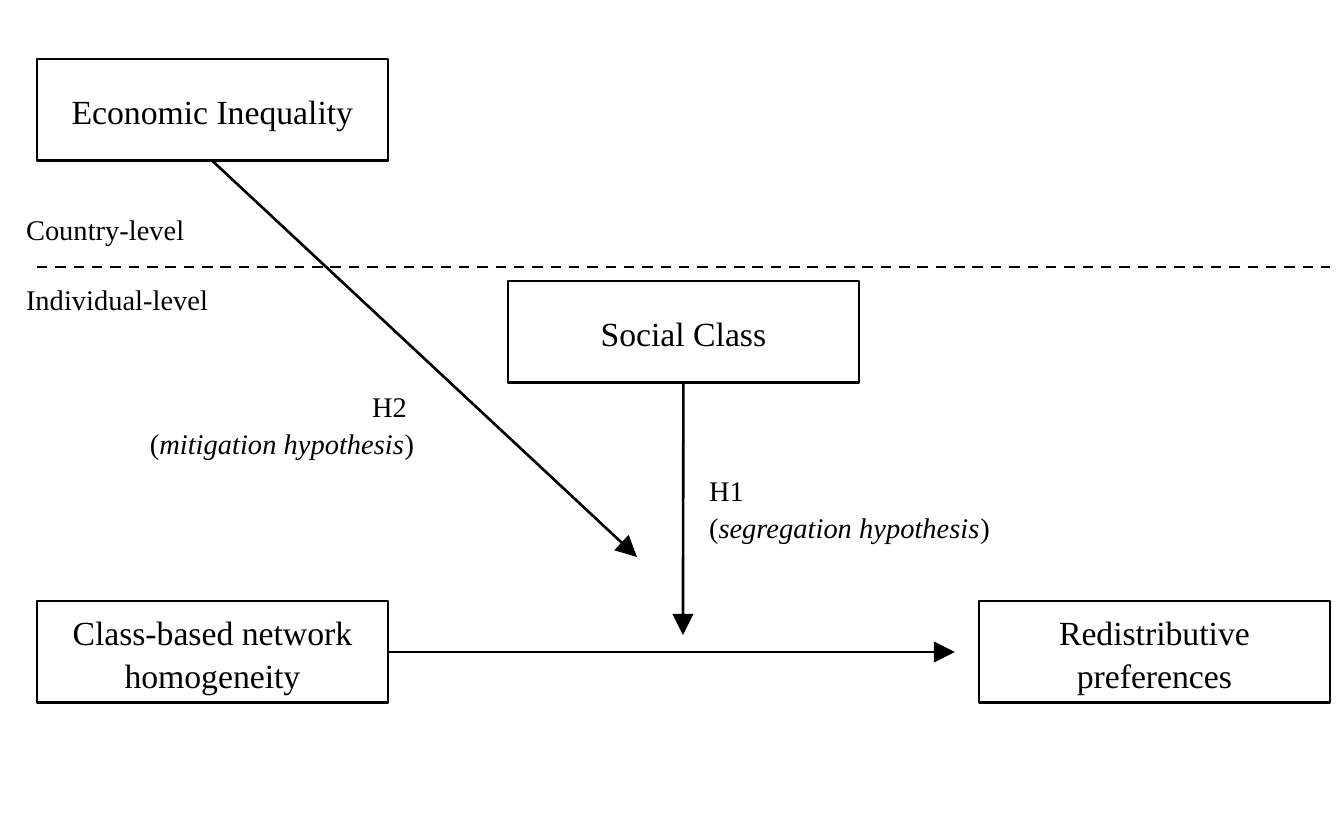
from lxml.etree import SubElement
from pptx import Presentation
from pptx.dml.color import RGBColor
from pptx.enum.dml import MSO_LINE
from pptx.enum.shapes import MSO_CONNECTOR, MSO_SHAPE
from pptx.enum.text import MSO_ANCHOR, PP_ALIGN
from pptx.oxml.ns import qn
from pptx.util import Emu, Pt

BLACK = RGBColor(0, 0, 0)
WHITE = RGBColor(255, 255, 255)
FONT = "Times New Roman"
PIXELS_PER_INCH = 256

PAGE_SIZE = (1344, 819)
BOX_SIZE = (351, 102)
LEFT_MARGIN, COLUMN_STEP = 37, 471
DIVIDER_TOP = 267
BOTTOM, RIGHT = 2, 3  # connection sites of a rectangle

# name: (column, top, paragraphs)
BOXES = {
    "inequality": (0, 59, ["Economic Inequality"]),
    "class": (1, 281, ["Social Class"]),
    "homogeneity": (0, 601, ["Class-based network homogeneity"]),
    "preferences": (2, 601, ["Redistributive", "preferences"]),
}
# start box, connection site, arrow tip
ARROWS = [
    ("inequality", BOTTOM, (637, 557)),
    ("class", BOTTOM, (683, 635)),
    ("homogeneity", RIGHT, (955, 652)),
]
# frame, paragraphs (a tuple holds plain and italic spans in turn), format
LABELS = [
    ((0, 197, 425, 131), ["Country-level", "Individual-level"], {"gap": 33}),
    ((683, 458, 351, 95), ["H1", ("(", "segregation hypothesis", ")")], {}),
    ((115, 374, 325, 95), ["H2 ", ("(", "mitigation hypothesis", ")")],
     {"align": PP_ALIGN.RIGHT}),
]


def px(length):
    return Emu(round(length * 914400 / PIXELS_PER_INCH))


def write(shape, paragraphs, size=8, align=PP_ALIGN.LEFT, anchor=MSO_ANCHOR.TOP,
          insets=(26, 13), gap=0):
    frame = shape.text_frame
    frame.word_wrap = True
    frame.vertical_anchor = anchor
    frame.margin_left = frame.margin_right = px(insets[0])
    frame.margin_top = frame.margin_bottom = px(insets[1])
    for index, spans in enumerate(paragraphs):
        para = frame.add_paragraph() if index else frame.paragraphs[0]
        para.alignment = align
        para.line_spacing = 1.07
        para.space_before = px(gap if index else 0)
        for position, text in enumerate((spans,) if isinstance(spans, str) else spans):
            span = para.add_run()
            span.text = text
            span.font.name = FONT
            span.font.size = Pt(size)
            span.font.italic = position % 2 == 1
            span.font.color.rgb = BLACK


def add_box(page, column, top, paragraphs):
    left = LEFT_MARGIN + column * COLUMN_STEP
    box = page.shapes.add_shape(MSO_SHAPE.RECTANGLE, *map(px, (left, top, *BOX_SIZE)))
    box.shadow.inherit = False
    box.fill.solid()
    box.fill.fore_color.rgb = WHITE
    box.line.color.rgb = BLACK
    box.line.width = Pt(0.75)
    write(box, paragraphs, size=9.5, align=PP_ALIGN.CENTER,
          anchor=MSO_ANCHOR.MIDDLE, insets=(20, 10))
    return box


def add_line(page, start, end):
    line = page.shapes.add_connector(MSO_CONNECTOR.STRAIGHT, *map(px, (*start, *end)))
    line.line.color.rgb = BLACK
    line.line.width = Pt(0.75)
    SubElement(line._element.spPr, qn("a:effectLst"))
    return line


def main():
    deck = Presentation()
    deck.slide_width, deck.slide_height = map(px, PAGE_SIZE)
    page = deck.slides.add_slide(deck.slide_layouts[6])

    boxes = {name: add_box(page, *content) for name, content in BOXES.items()}

    for name, site, tip in ARROWS:
        arrow = add_line(page, tip, tip)
        arrow.begin_connect(boxes[name], site)
        SubElement(arrow.line._get_or_add_ln(), qn("a:tailEnd"), type="triangle")

    divider_right = LEFT_MARGIN + 2 * COLUMN_STEP + BOX_SIZE[0]
    divider = add_line(page, (LEFT_MARGIN, DIVIDER_TOP), (divider_right, DIVIDER_TOP))
    divider.line.dash_style = MSO_LINE.DASH

    for frame, paragraphs, text_format in LABELS:
        write(page.shapes.add_textbox(*map(px, frame)), paragraphs, **text_format)

    deck.save("out.pptx")


if __name__ == "__main__":
    main()
